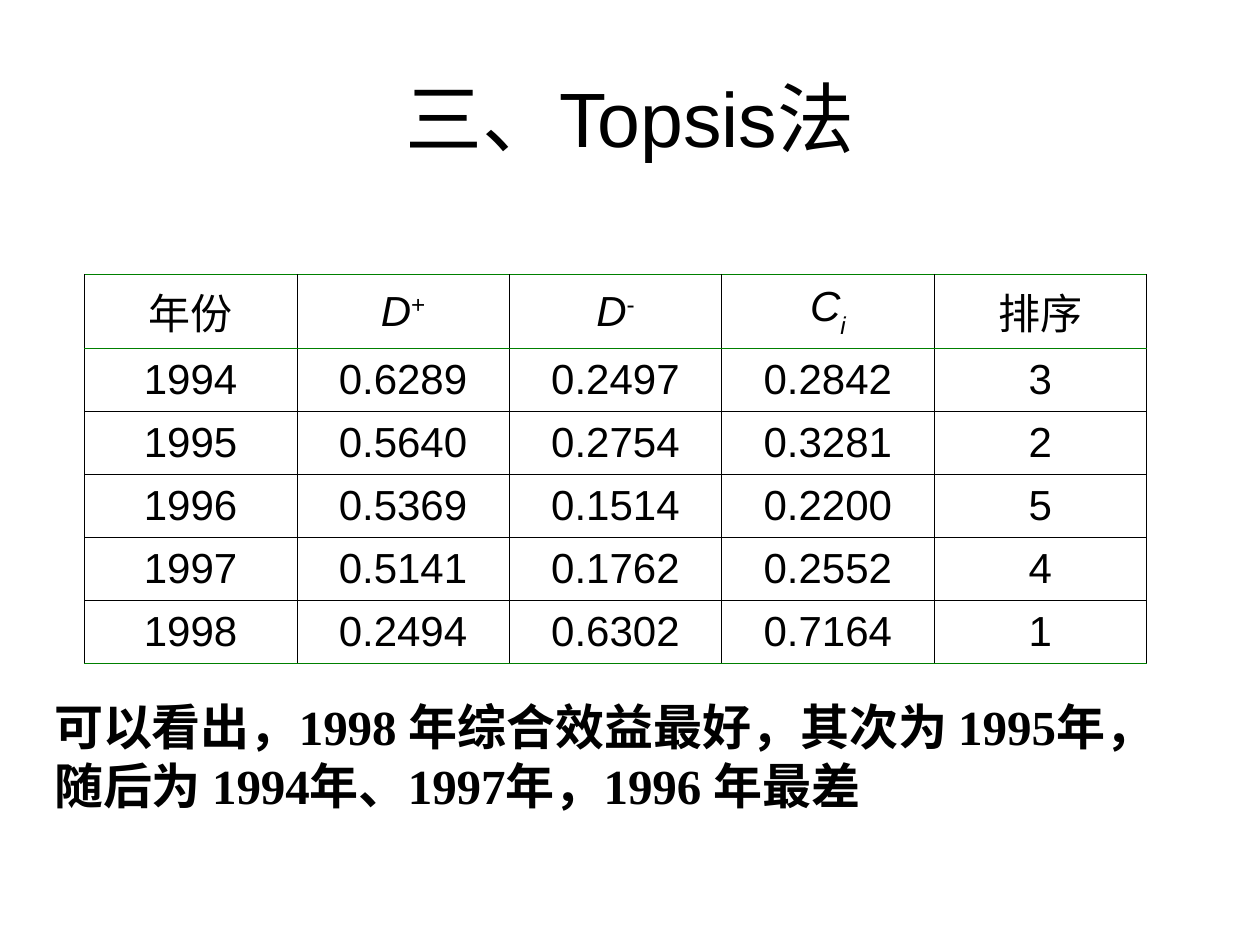
"""Build the Topsis ranking slide: title, result table and conclusion."""
import pptx
import pptx.util
import pptx.dml.color
import pptx.enum.text
import lxml.etree
from pptx.oxml.ns import qn

Inches, Pt = pptx.util.Inches, pptx.util.Pt
RGBColor = pptx.dml.color.RGBColor
ALIGN = pptx.enum.text.PP_ALIGN
ANCHOR = pptx.enum.text.MSO_ANCHOR

BLACK = RGBColor(0, 0, 0)
GREEN = RGBColor(0, 0x80, 0)
THIN, RULE = 0.34, 0.45

TITLE = "三、Topsis法"
NOTE = "可以看出，1998 年综合效益最好，其次为 1995年，随后为 1994年、1997年，1996 年最差"
HEAD = [
    [("年份", False, 0)],
    [("D", True, 0), ("+", False, 30)],
    [("D", True, 0), ("-", False, 30)],
    [("C", True, 0), ("i", True, -30)],
    [("排序", False, 0)],
]
DATA = [
    ("1994", "0.6289", "0.2497", "0.2842", "3"),
    ("1995", "0.5640", "0.2754", "0.3281", "2"),
    ("1996", "0.5369", "0.1514", "0.2200", "5"),
    ("1997", "0.5141", "0.1762", "0.2552", "4"),
    ("1998", "0.2494", "0.6302", "0.7164", "1"),
]
LEFT, TOP, WIDTH = 0.67, 2.18, 8.43
HIGH, LOW = 0.57, 0.5


def add_run(para, text, size, name="Arial", bold=False, ital=False, base=0):
    run = para.add_run()
    run.text = text
    font = run.font
    font.size, font.name = Pt(size), name
    font.bold, font.italic = bold, ital
    font.color.rgb = BLACK
    if base:
        run._r.get_or_add_rPr().set("baseline", str(base * 1000))


def add_text(slide, area, inset, anchor, align, text, size, **style):
    box = slide.shapes.add_textbox(*map(Inches, area))
    frame = box.text_frame
    frame.word_wrap = True
    frame.vertical_anchor = anchor
    frame.margin_left = frame.margin_right = Inches(inset)
    para = frame.paragraphs[0]
    para.alignment = align
    add_run(para, text, size, **style)


def add_edge(cell, side, color, width):
    props = cell._tc.get_or_add_tcPr()
    line = lxml.etree.SubElement(props, qn("a:" + side), w=str(Pt(width)))
    fill = lxml.etree.SubElement(line, qn("a:solidFill"))
    lxml.etree.SubElement(fill, qn("a:srgbClr"), val=str(color))


def fill_cell(cell, parts, above, below):
    cell.vertical_anchor = ANCHOR.MIDDLE
    para = cell.text_frame.paragraphs[0]
    para.alignment = ALIGN.CENTER
    for text, ital, base in parts:
        add_run(para, text, 24, ital=ital, base=base)
    for side in ("lnL", "lnR"):
        add_edge(cell, side, BLACK, THIN)
    add_edge(cell, "lnT", *above)
    add_edge(cell, "lnB", *below)
    cell.fill.background()


def add_grid(slide):
    rows = [HEAD] + [[[(text, False, 0)] for text in row] for row in DATA]
    count, wide = len(rows), len(HEAD)
    tall = HIGH + LOW * len(DATA)
    frame = slide.shapes.add_table(
        count, wide, *map(Inches, (LEFT, TOP, WIDTH, tall)))
    table = frame.table
    table.first_row = table.horz_banding = False
    for col in table.columns:
        col.width = Inches(WIDTH / wide)
    green, black = (GREEN, RULE), (BLACK, THIN)
    edges = [green if i in (0, 1, count) else black for i in range(count + 1)]
    for i, row in enumerate(rows):
        table.rows[i].height = Inches(LOW if i else HIGH)
        for j, parts in enumerate(row):
            fill_cell(table.cell(i, j), parts, edges[i], edges[i + 1])


def main():
    deck = pptx.Presentation()
    deck.slide_width, deck.slide_height = Inches(10), Inches(7.5)
    slide = deck.slides.add_slide(deck.slide_layouts[6])
    add_grid(slide)
    add_text(slide, (0.43, 5.48, 8.82, 1.04), 0, ANCHOR.TOP, ALIGN.LEFT,
             NOTE, 28, name="Times New Roman", bold=True)
    add_text(slide, (0.5, 0.3, 9, 1.25), 0.1, ANCHOR.MIDDLE, ALIGN.CENTER,
             TITLE, 44)
    deck.save("out.pptx")


if __name__ == "__main__":
    main()
